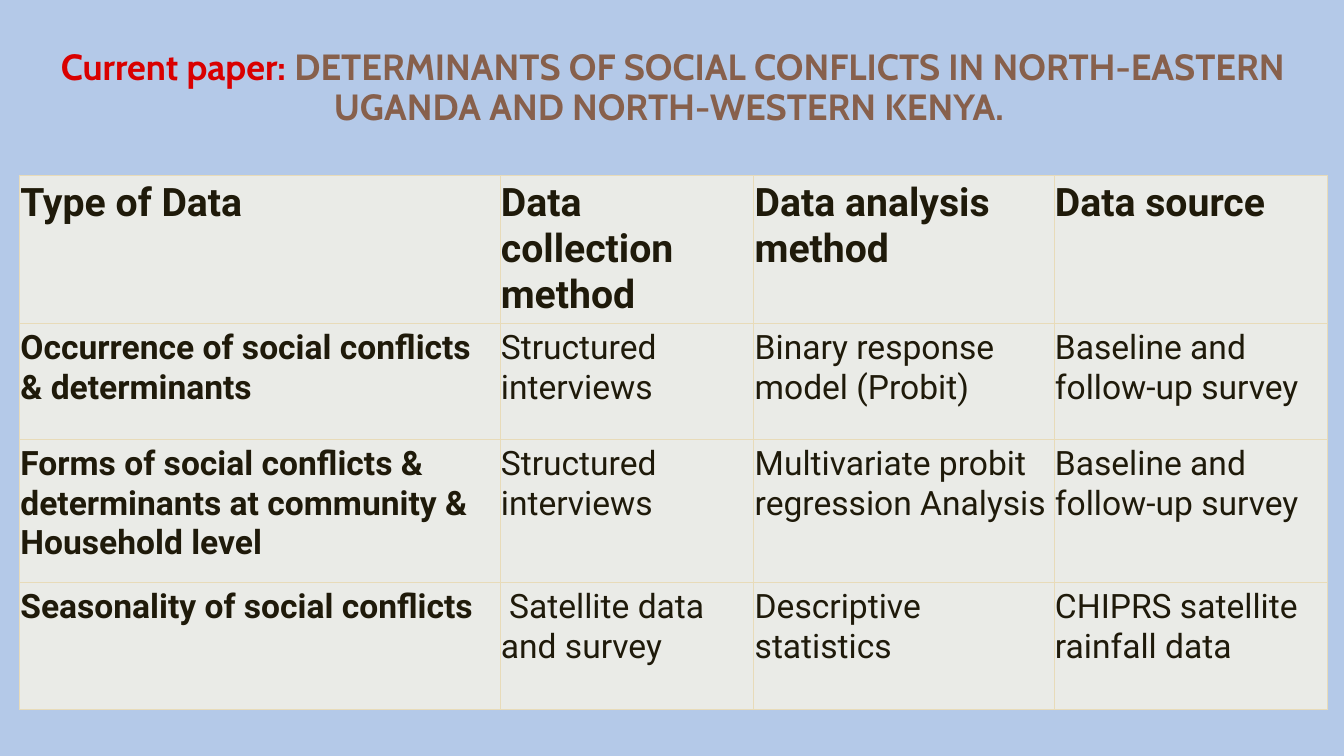
from lxml.etree import SubElement
from pptx import Presentation
from pptx.dml.color import RGBColor
from pptx.enum.text import MSO_ANCHOR as Anchor, PP_ALIGN as Align
from pptx.oxml.ns import qn
from pptx.util import Pt

BACKGROUND, CELL_FILL, BORDER = "B4C9E8", "EAEBE7", "E8DBB9"
RED, BROWN, INK = "D90000", "87604C", "1F1A0A"

COLUMN_WIDTHS = [343.4, 181.4, 214.6, 195.1]
ROW_HEIGHTS = [101.5, 82.8, 102.2, 90.7]
ROWS = [
    ["Type of Data", "Data collection method", "Data analysis method", "Data source"],
    ["Occurrence of social conflicts & determinants", "Structured interviews",
     "Binary response model (Probit)", "Baseline and follow-up survey"],
    ["Forms of social conflicts & determinants at community & Household level",
     "Structured interviews", "Multivariate probit regression Analysis",
     "Baseline and follow-up survey"],
    ["Seasonality of social conflicts", " Satellite data and survey",
     "Descriptive statistics", "CHIPRS satellite rainfall data"],
]


def color(hex_string):
    return RGBColor.from_string(hex_string)


def add_text(para, text, *, size, font, fill, bold=False):
    span = para.add_run()
    span.text = text
    span.font.size = Pt(size)
    span.font.name = font
    span.font.bold = bold
    span.font.color.rgb = color(fill)


def set_margins(target, horizontal, vertical):
    target.margin_left = target.margin_right = Pt(horizontal)
    target.margin_top = target.margin_bottom = Pt(vertical)


def add_borders(cell, hex_string, width):
    properties = cell._tc.get_or_add_tcPr()
    for position, side in enumerate(("a:lnL", "a:lnR", "a:lnT", "a:lnB")):
        line = SubElement(properties, qn(side), w=str(Pt(width)))
        fill = SubElement(line, qn("a:solidFill"))
        SubElement(fill, qn("a:srgbClr"), val=hex_string)
        properties.insert(position, line)  # borders come before the cell fill


def add_title(page, left, top, width, height):
    box = page.shapes.add_textbox(Pt(left), Pt(top), Pt(width), Pt(height))
    frame = box.text_frame
    frame.word_wrap = True
    frame.vertical_anchor = Anchor.MIDDLE
    set_margins(frame, 7.2, 3.6)
    para = frame.paragraphs[0]
    para.alignment = Align.CENTER
    para.line_spacing = 0.9
    style = dict(size=26, font="Cabin", bold=True)
    add_text(para, "Current paper: ", fill=RED, **style)
    add_text(para, "DETERMINANTS OF SOCIAL CONFLICTS IN NORTH-EASTERN UGANDA "
             "AND NORTH-WESTERN KENYA. ", fill=BROWN, **style)


def add_data_table(page, left, top, width, height):
    table = page.shapes.add_table(len(ROWS), len(COLUMN_WIDTHS), Pt(left), Pt(top),
                                  Pt(width), Pt(height)).table
    table.horz_banding = False
    for column, column_width in zip(table.columns, COLUMN_WIDTHS):
        column.width = Pt(column_width)
    for row, row_height in zip(table.rows, ROW_HEIGHTS):
        row.height = Pt(row_height)
    for r, texts in enumerate(ROWS):
        for c, text in enumerate(texts):
            cell = table.cell(r, c)
            set_margins(cell, 0.7, 3.6)
            cell.fill.solid()
            cell.fill.fore_color.rgb = color(CELL_FILL)
            add_borders(cell, BORDER, 0.45)
            # Header row is larger; header row and first column are bold
            add_text(cell.text_frame.paragraphs[0], text, size=28 if r == 0 else 24,
                     font="Roboto", fill=INK, bold=r == 0 or c == 0)


def main():
    deck = Presentation()
    deck.slide_width, deck.slide_height = Pt(960.5), Pt(540)
    page = deck.slides.add_slide(deck.slide_layouts[6])
    page.background.fill.solid()
    page.background.fill.fore_color.rgb = color(BACKGROUND)
    add_data_table(page, 13.9, 125.5, sum(COLUMN_WIDTHS), sum(ROW_HEIGHTS))
    add_title(page, 28, 18.7, 906.5, 89.3)
    deck.save("out.pptx")


if __name__ == "__main__":
    main()
